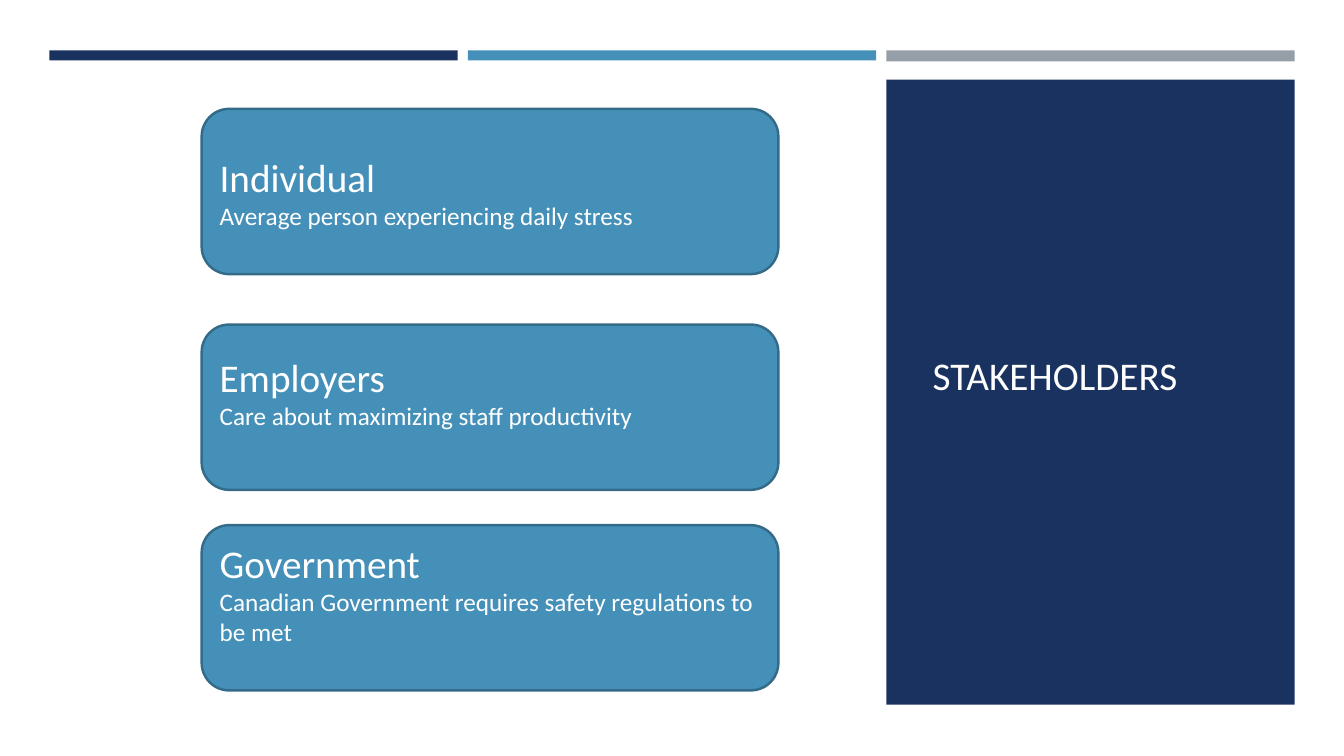
import pptx
import pptx.util
import pptx.dml.color
import pptx.enum.shapes
import pptx.enum.text
from dataclasses import dataclass

Inches, Pt = pptx.util.Inches, pptx.util.Pt
Kind = pptx.enum.shapes.MSO_SHAPE
Align = pptx.enum.text.PP_ALIGN
Anchor = pptx.enum.text.MSO_ANCHOR


@dataclass
class Theme:
    font: str = "Calibri"
    navy: str = "1A3260"
    blue: str = "4590B8"
    gray: str = "969FA7"
    edge: str = "336B88"
    white: str = "FFFFFF"
    pale: str = "FFFEFF"
    head: int = 28
    body: int = 18
    line: float = 1.75


theme = Theme()
title = "STAKEHOLDERS"
bars = [(theme.navy, 0.1), (theme.blue, 0.1), (theme.gray, 0.11)]
cards = [
    ("Individual", "Average person experiencing daily stress", 1.08, 0.05),
    ("Employers", "Care about maximizing staff productivity", 3.22, 0.35),
    ("Government", "Canadian Government requires safety regulations to be met", 5.21, 0.35),
]
left, wide, step = 0.49, 4.05, 4.15


def color(code):
    return pptx.dml.color.RGBColor.from_string(code)


def block(slide, kind, box, fill):
    shape = slide.shapes.add_shape(kind, *map(Inches, box))
    shape.shadow.inherit = False
    shape.fill.solid()
    shape.fill.fore_color.rgb = color(fill)
    shape.line.fill.background()
    return shape


def write(para, text, size, ink):
    para.text = text
    para.alignment = Align.LEFT
    para.font.name = theme.font
    para.font.size = Pt(size)
    para.font.color.rgb = color(ink)


def add_card(slide, name, note, top, inset):
    card = block(slide, Kind.ROUNDED_RECTANGLE, (2, top, 5.72, 1.64), theme.blue)
    card.line.color.rgb = color(theme.edge)
    card.line.width = Pt(theme.line)
    frame = card.text_frame
    frame.word_wrap = True
    frame.vertical_anchor = Anchor.MIDDLE
    frame.margin_bottom = Inches(inset)
    write(frame.paragraphs[0], name, theme.head, theme.white)
    write(frame.add_paragraph(), note, theme.body, theme.white)


def add_title(slide):
    panel = block(slide, Kind.RECTANGLE, (left + 2 * step, 0.79, wide, 6.2), theme.navy)
    shape = slide.shapes.title
    shape._element.addprevious(panel._element)
    shape.left, shape.top, shape.width, shape.height = map(Inches, (9.15, 1.14, 3.34, 5.15))
    frame = shape.text_frame
    frame.word_wrap = True
    frame.vertical_anchor = Anchor.MIDDLE
    write(frame.paragraphs[0], title, theme.head, theme.pale)


def main():
    deck = pptx.Presentation()
    deck.slide_width, deck.slide_height = Inches(13.33), Inches(7.5)
    slide = deck.slides.add_slide(deck.slide_layouts[5])
    for i, (fill, high) in enumerate(bars):
        block(slide, Kind.RECTANGLE, (left + i * step, 0.5, wide, high), fill)
    add_title(slide)
    for card in cards:
        add_card(slide, *card)
    deck.save("out.pptx")


if __name__ == "__main__":
    main()
